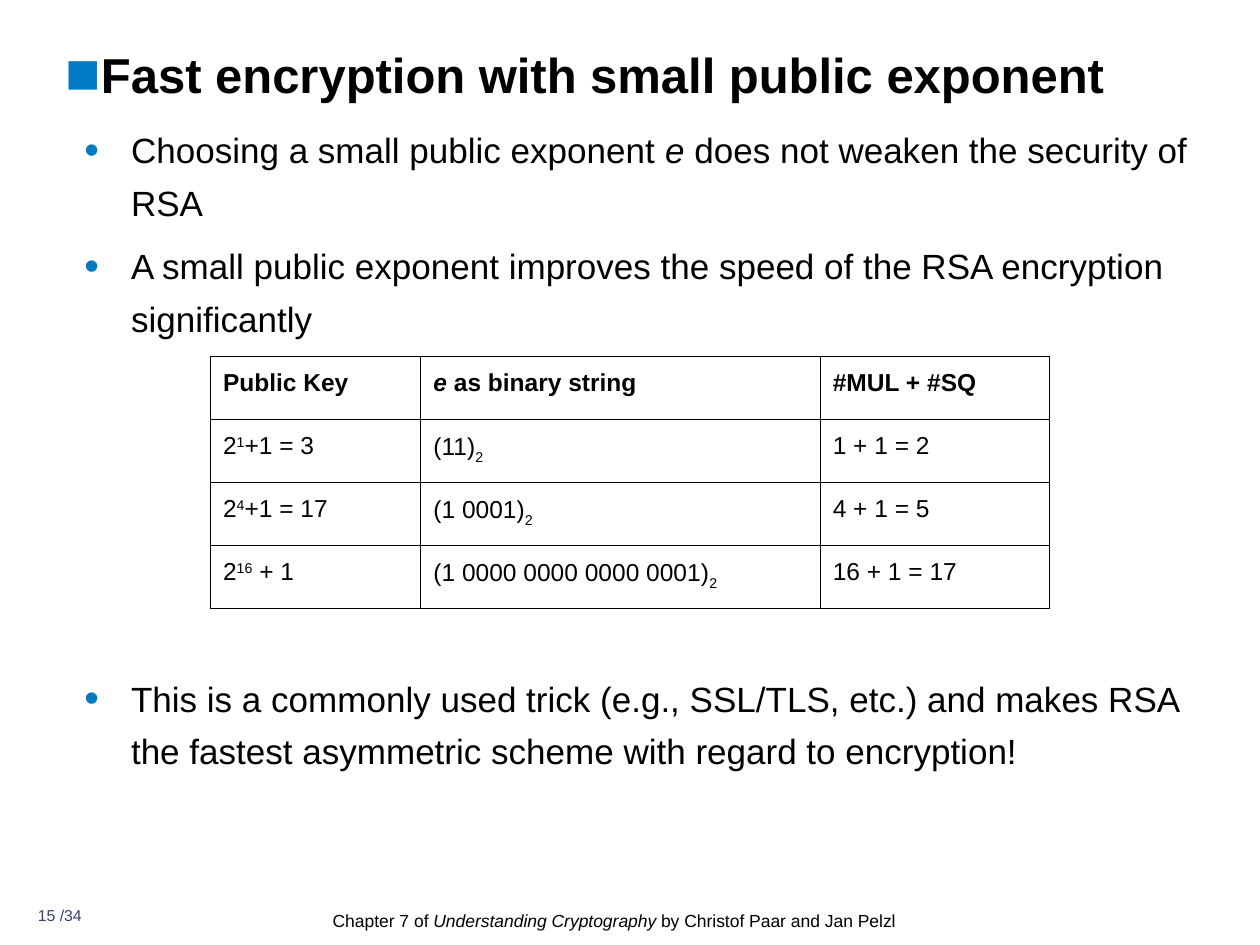
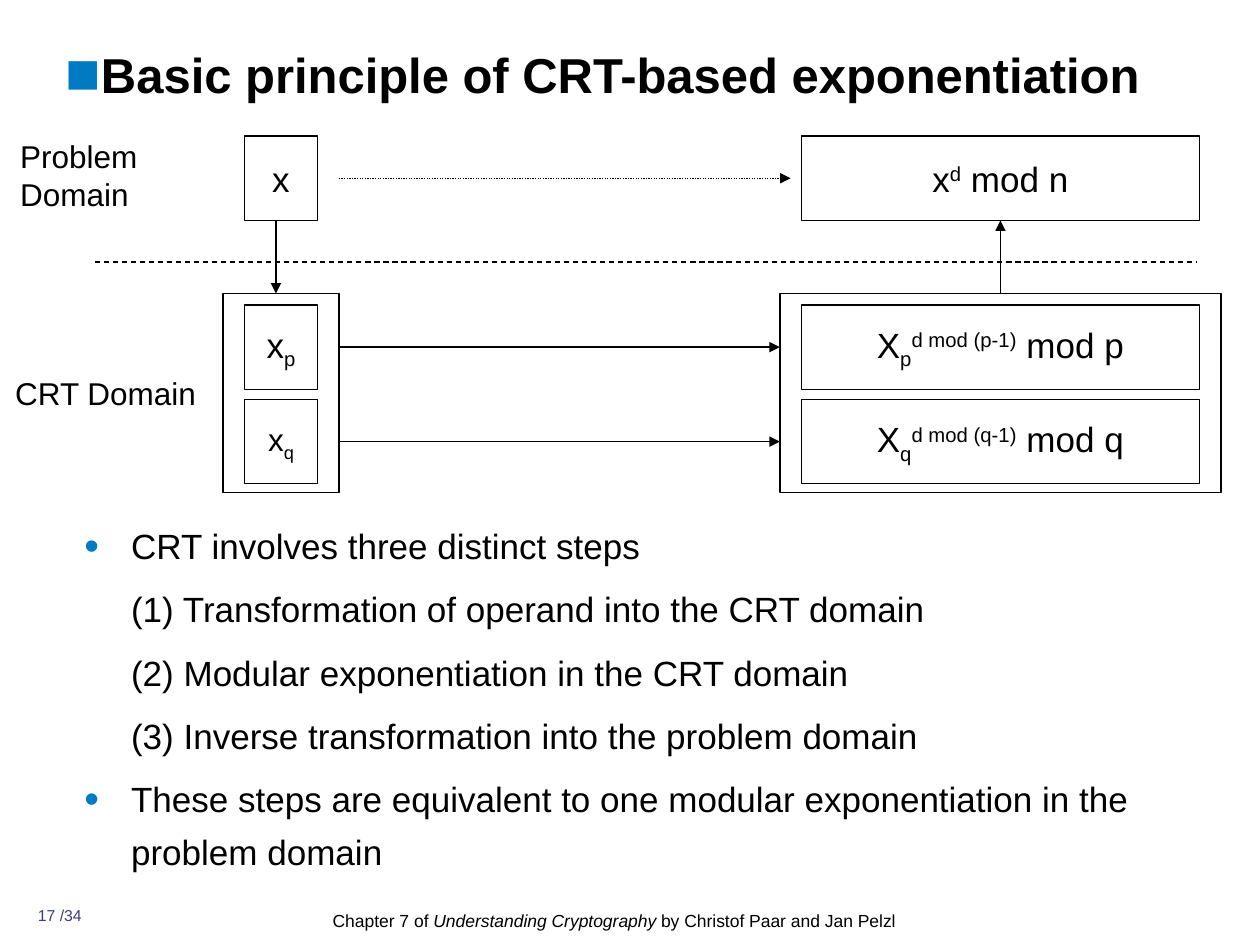
from lxml import etree
from pptx import Presentation, util as u
from pptx.dml.color import RGBColor
from pptx.enum import dml, shapes, text
from pptx.oxml.ns import qn

WIDE, HIGH = 10, 7.5
FONT, INK, BLUE, NAVY = "Arial", "000000", "007AC2", "394073"
THICK, THIN, LINE = 1.08, 0.45, 0.75
LEFT, MID = text.PP_ALIGN.LEFT, text.PP_ALIGN.CENTER
MARKS = {"*": ("i", "1"), "^": ("baseline", "30000"), "_": ("baseline", "-25000")}
CREDIT = ("Chapter 7 of ", "*Understanding Cryptography", " by Christof Paar and Jan Pelzl")
TOTAL = 34

KEYS = {
    "page": 15,
    "title": "Fast encryption with small public exponent",
    "body": (0.67, 0.94, 8.78, 5.51),
    "list": [
        ("•", 0, ("Choosing a small public exponent ", "*e", " does not weaken the security of RSA")),
        ("•", 6.2, ("A small public exponent improves the speed of the RSA encryption significantly",)),
        ("•", 187.2, ("This is a commonly used trick (e.g., SSL/TLS, etc.) and makes RSA "
                      "the fastest asymmetric scheme with regard to encryption!",)),
    ],
}
COSTS = [
    [("Public Key",), ("*e", " as binary string"), ("#MUL + #SQ",)],
    [("2", "^1", "+1 = 3"), ("(11)", "_2"), ("1 + 1 = 2",)],
    [("2", "^4", "+1 = 17"), ("(1 0001)", "_2"), ("4 + 1 = 5",)],
    [("2", "^16", " + 1"), ("(1 0000 0000 0000 0001)", "_2"), ("16 + 1 = 17",)],
]
COLS, ROW = (1.67, 3.17, 1.82), 0.5

CRT = {
    "page": 17,
    "title": "Basic principle of CRT-based exponentiation",
    "body": (0.67, 4.08, 8.78, 2.61),
    "list": [
        ("•", 0, ("CRT involves three distinct steps",)),
        (None, 6.2, ("(1) Transformation of operand into the CRT domain",)),
        (None, 6.2, ("(2) Modular exponentiation in the CRT domain",)),
        (None, 6.2, ("(3) Inverse transformation into the problem domain",)),
        ("•", 6.2, ("These steps are equivalent to one modular exponentiation in the problem domain",)),
    ],
}
SIDES = [(1.77, 0.92), (6.19, 3.5)]
TOPS, BOX, PAD = (1.08, 2.42, 3.17), 0.67, 0.17
FRAME, DEEP = 2.33, 1.58
TERMS = [
    [(("x",), 20), (("x", "^d", " mod n"), 20)],
    [(("x", "_p"), 20), (("X", "_p", "^d mod (p-1)", " mod p"), 20)],
    [(("x", "_q"), 18), (("X", "_q", "^d mod (q-1)", " mod q"), 20)],
]
LABELS = [((0.16, 1.09, 0.93, 0.6), ["Problem", "Domain"]),
          ((0.12, 2.97, 1.45, 0.3), ["CRT Domain"])]


def color(code):
    return RGBColor.from_string(code)


def inch(spots):
    return [u.Inches(n) for n in spots]


def add(root, tag, **attrs):
    return etree.SubElement(root, qn(tag), attrs)


def bullet(para, char, left=0.0, hang=0.0):
    props = para._p.get_or_add_pPr()
    props.set("marL", str(u.Inches(left)))
    props.set("indent", str(-u.Inches(hang)))
    if not char:
        add(props, "a:buNone")
        return
    add(add(props, "a:buClr"), "a:srgbClr", val=BLUE)
    add(props, "a:buSzPct", val="120000")
    add(props, "a:buFont", typeface=FONT)
    add(props, "a:buChar", char=char)


def write(para, parts, size, ink=INK, bold=False, align=LEFT, pitch=1.0, gap=0):
    para.alignment, para.line_spacing = align, pitch
    para.space_before = u.Pt(gap)
    font = para.font
    font.name, font.size, font.bold = FONT, u.Pt(size), bold
    font.color.rgb = color(ink)
    for part in parts:
        run = para.add_run()
        mark = MARKS.get(part[0])
        run.text = part[1:] if mark else part
        if mark:
            run._r.get_or_add_rPr().set(*mark)


def plain(frame, wrap=True):
    frame.word_wrap = wrap
    frame.auto_size = text.MSO_AUTO_SIZE.NONE
    frame.vertical_anchor = text.MSO_ANCHOR.TOP
    frame.margin_left = frame.margin_top = frame.margin_right = frame.margin_bottom = 0
    return frame


def place(holder, spot):
    holder.left, holder.top, holder.width, holder.height = inch(spot)
    return plain(holder.text_frame)


def lines(frame, count):
    return [frame.paragraphs[0]] + [frame.add_paragraph() for _ in range(count - 1)]


def note(slide, spot, rows, size, wrap=True, **style):
    frame = plain(slide.shapes.add_textbox(*inch(spot)).text_frame, wrap)
    for para, parts in zip(lines(frame, len(rows)), rows):
        write(para, parts, size, **style)


def base(deck, data):
    slide = deck.slides.add_slide(deck.slide_layouts[1])
    head = place(slide.shapes.title, (0.52, 0.35, 9, 0.62)).paragraphs[0]
    bullet(head, "■")
    write(head, (data["title"],), 28, bold=True)
    frame = place(slide.placeholders[1], data["body"])
    items = data["list"]
    for para, (char, gap, parts) in zip(lines(frame, len(items)), items):
        bullet(para, char, 0.37, 0.37 if char else 0)
        write(para, parts, 20, pitch=1.25, gap=gap)
    note(slide, (0.2, 7.19, 0.55, 0.24), [(f"{data['page']} /{TOTAL}",)], 9, ink=NAVY, align=MID)
    note(slide, (2.64, 7.19, 4.73, 0.28), [CREDIT], 10, pitch=1.2)
    return slide


def edge(cell, outer):
    props = cell._tc.get_or_add_tcPr()
    for side, out in zip("LRTB", outer):
        line = add(props, f"a:ln{side}", w=str(u.Pt(THICK if out else THIN)))
        add(add(line, "a:solidFill"), "a:srgbClr", val=INK)
    cell.fill.background()


def costs(slide):
    rows, cols = len(COSTS), len(COLS)
    spot = inch((1.67, 2.83, sum(COLS), ROW * rows))
    grid = slide.shapes.add_table(rows, cols, *spot).table
    grid.first_row = grid.horz_banding = False
    for col, wide in zip(grid.columns, COLS):
        col.width = u.Inches(wide)
    for r, row in enumerate(COSTS):
        for c, parts in enumerate(row):
            cell = grid.cell(r, c)
            edge(cell, (c == 0, c == cols - 1, r == 0, r == rows - 1))
            write(cell.text_frame.paragraphs[0], parts, 14, bold=r == 0, pitch=1.25)


def rect(slide, spot):
    box = slide.shapes.add_shape(shapes.MSO_SHAPE.RECTANGLE, *inch(spot))
    box.shadow.inherit = False
    box.fill.background()
    box.line.color.rgb, box.line.width = color(INK), u.Pt(LINE)
    return box


def link(slide, ends, dash=None, tip=True):
    line = slide.shapes.add_connector(shapes.MSO_CONNECTOR.STRAIGHT, *inch(ends))
    line.line.color.rgb, line.line.width = color(INK), u.Pt(LINE)
    if dash:
        line.line.dash_style = dash
    if tip:
        add(line.line._get_or_add_ln(), "a:tailEnd", type="triangle")
    add(line._element.spPr, "a:effectLst")


def flow(slide):
    for left, wide in SIDES:
        rect(slide, (left, FRAME, wide, DEEP))
    for top, row in zip(TOPS, TERMS):
        for (left, wide), (parts, size) in zip(SIDES, row):
            frame = rect(slide, (left + PAD, top, wide - 2 * PAD, BOX)).text_frame
            frame.word_wrap = False
            frame.vertical_anchor = text.MSO_ANCHOR.MIDDLE
            write(frame.paragraphs[0], parts, size, align=MID)
    start, stop = sum(SIDES[0]), SIDES[1][0]
    low = TOPS[0] + BOX
    for i, top in enumerate(TOPS):
        y = top + BOX / 2
        if i == 0:
            link(slide, (start, y, stop + PAD / 2, y), dml.MSO_LINE.ROUND_DOT)
        else:
            link(slide, (start, y, stop, y))
    link(slide, (2.19, low, 2.19, FRAME))
    link(slide, (7.94, FRAME, 7.94, low))
    link(slide, (0.75, 2.08, 9.5, 2.08), dml.MSO_LINE.DASH, tip=False)
    for spot, rows in LABELS:
        note(slide, spot, [(row,) for row in rows], 18, wrap=False)


def main():
    deck = Presentation()
    deck.slide_width, deck.slide_height = inch((WIDE, HIGH))
    costs(base(deck, KEYS))
    flow(base(deck, CRT))
    deck.save("out.pptx")


if __name__ == "__main__":
    main()
